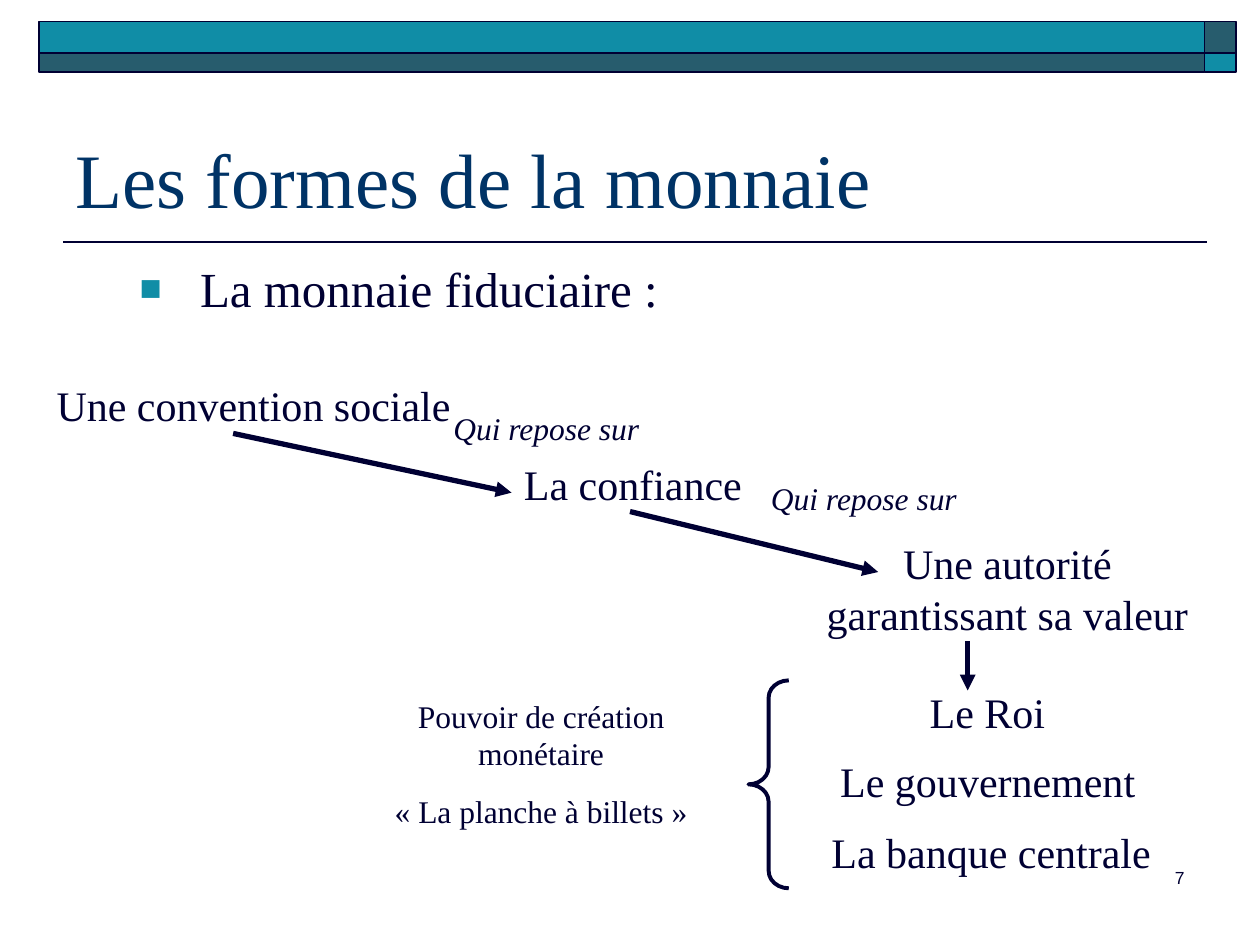
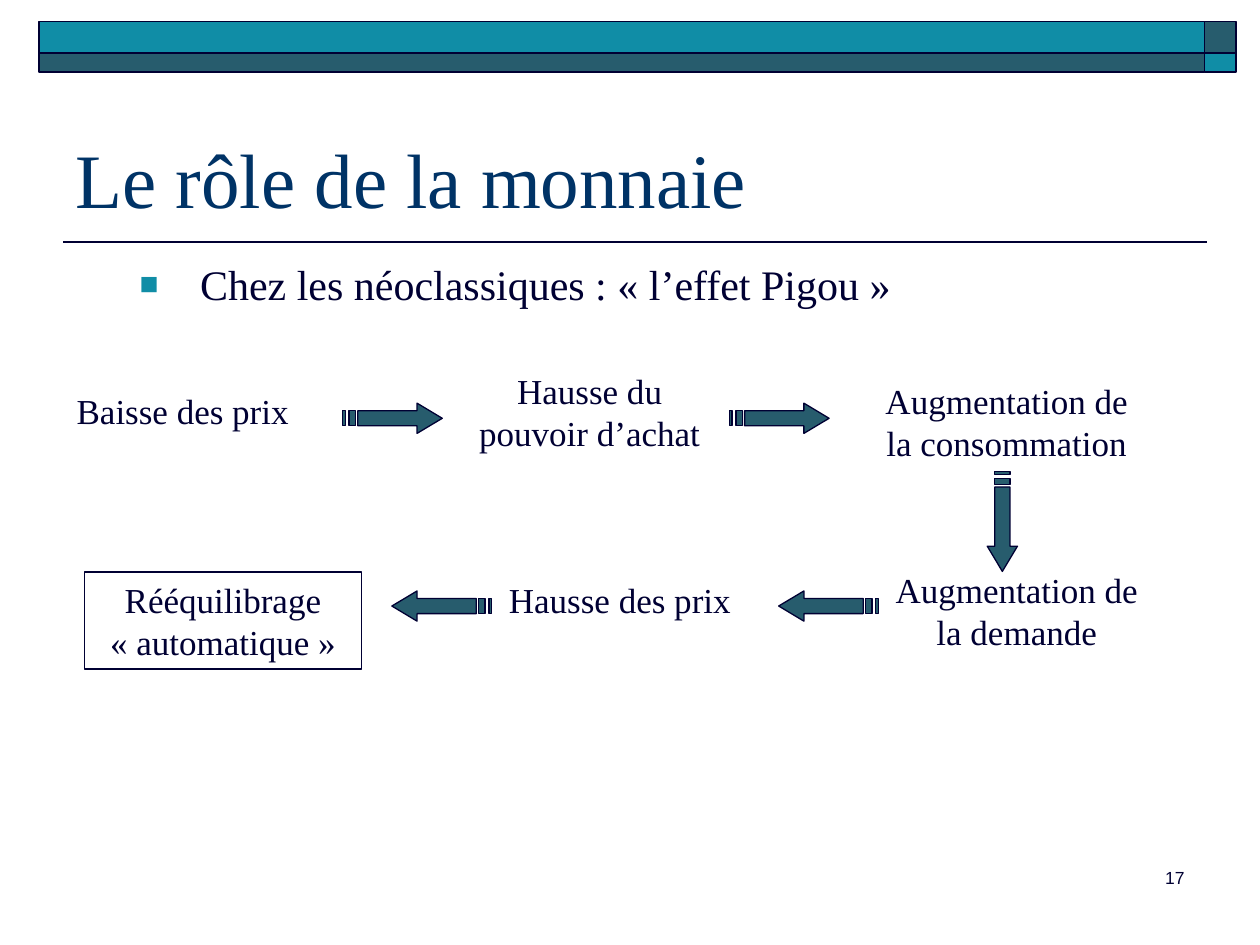
from dataclasses import dataclass

from lxml.etree import SubElement
from pptx import Presentation
from pptx.dml.color import RGBColor
from pptx.enum.shapes import MSO_CONNECTOR, MSO_SHAPE
from pptx.enum.text import MSO_ANCHOR, MSO_AUTO_SIZE, PP_ALIGN
from pptx.oxml.ns import qn
from pptx.util import Inches, Pt


@dataclass(frozen=True)
class Theme:
    ink: RGBColor = RGBColor(0x00, 0x00, 0x33)
    title: RGBColor = RGBColor(0x00, 0x33, 0x66)
    teal: RGBColor = RGBColor(0x10, 0x8D, 0xA6)
    slate: RGBColor = RGBColor(0x27, 0x5C, 0x6D)
    serif: str = "Times New Roman"
    sans: str = "Arial"
    title_size: int = 44
    topic_size: int = 28
    idea_size: int = 24
    step_size: int = 20
    note_size: int = 18
    number_size: int = 10
    paragraph_gap: float = 11.2


THEME = Theme()
NO_BREAK_SPACE = chr(160)


@dataclass(frozen=True)
class Label:
    left: float
    top: float
    width: float
    height: float
    paragraphs: tuple[str, ...]
    size: int
    align: PP_ALIGN = PP_ALIGN.CENTER
    italic: bool = False
    boxed: bool = False
    font: str = THEME.serif
    color: RGBColor = THEME.ink
    anchor: MSO_ANCHOR = MSO_ANCHOR.TOP
    grow: bool = True


@dataclass(frozen=True)
class Arrow:
    x1: float
    y1: float
    x2: float
    y2: float


@dataclass(frozen=True)
class StripedArrow:
    left: float
    top: float
    rotation: int = 0


@dataclass(frozen=True)
class Band:
    left: float
    top: float
    width: float
    height: float
    color: RGBColor


BANDS = (
    Band(9.56, 0.17, 0.25, 0.25, THEME.slate),
    Band(0.31, 0.17, 9.25, 0.25, THEME.teal),
    Band(0.31, 0.42, 9.25, 0.15, THEME.slate),
    Band(9.56, 0.42, 0.25, 0.15, THEME.teal),
)


def quoted(text: str) -> str:
    return NO_BREAK_SPACE.join(("«", text, "»"))


def idea(left: float, top: float, width: float, text: str) -> Label:
    return Label(left, top, width, 0.5, (text,), THEME.idea_size, PP_ALIGN.LEFT)


def link_note(left: float, top: float) -> Label:
    return Label(left, top, 2.44, 0.4, ("Qui repose sur",), THEME.note_size,
                 PP_ALIGN.LEFT, italic=True)


def step(left: float, top: float, text: str, height: float = 0.77,
         align: PP_ALIGN = PP_ALIGN.CENTER, boxed: bool = False) -> Label:
    return Label(left, top, 2.2, height, (text,), THEME.step_size, align, boxed=boxed)


MONEY_LABELS = (
    idea(0.35, 2.96, 3.45, "Une convention sociale"),
    idea(4.06, 3.59, 2.1, "La confiance"),
    Label(6.42, 4.22, 3.15, 0.9, ("Une autorité garantissant sa valeur",), THEME.idea_size),
    idea(7.28, 5.4, 1.25, "Le Roi"),
    idea(6.57, 5.95, 2.65, "Le gouvernement"),
    idea(6.5, 6.51, 2.85, "La banque centrale"),
    link_note(3.5, 3.2),
    link_note(6.02, 3.75),
    Label(2.8, 5.48, 2.99, 1.16,
          ("Pouvoir de création monétaire", quoted("La planche à billets")), THEME.note_size),
)
MONEY_ARROWS = (
    Arrow(1.85, 3.44, 4.06, 3.91),
    Arrow(5, 4.06, 6.97, 4.54),
    Arrow(7.68, 5.09, 7.68, 5.48),
)
PIGOU_STEPS = (
    step(0.51, 3.04, "Baisse des prix", 0.44, PP_ALIGN.LEFT),
    step(3.58, 2.88, "Hausse du pouvoir d’achat"),
    step(6.89, 2.96, "Augmentation de la consommation"),
    step(6.97, 4.46, "Augmentation de la demande"),
    step(3.82, 4.54, "Hausse des prix", 0.44),
    step(0.67, 4.54, f"Rééquilibrage {quoted('automatique')}", boxed=True),
)
PIGOU_ARROWS = (
    StripedArrow(2.72, 3.2),
    StripedArrow(5.79, 3.2),
    StripedArrow(7.56, 4.02, 90),
    StripedArrow(6.18, 4.69, 180),
    StripedArrow(3.11, 4.69, 180),
)


def set_outline(sp, width: float) -> None:
    sp.shadow.inherit = False
    sp.line.color.rgb = THEME.ink
    sp.line.width = Pt(width)


def draw_label(s, label: Label):
    box = [Inches(v) for v in (label.left, label.top, label.width, label.height)]
    if label.boxed:
        sp = s.shapes.add_shape(MSO_SHAPE.RECTANGLE, *box)
        sp.fill.background()
        set_outline(sp, 0.75)
    else:
        sp = s.shapes.add_textbox(*box)
    tf = sp.text_frame
    tf.word_wrap = True
    tf.auto_size = MSO_AUTO_SIZE.SHAPE_TO_FIT_TEXT if label.grow else MSO_AUTO_SIZE.NONE
    tf.vertical_anchor = label.anchor
    for i, text in enumerate(label.paragraphs):
        p = tf.add_paragraph() if i else tf.paragraphs[0]
        p.alignment = label.align
        if i:
            p.space_before = Pt(THEME.paragraph_gap)
        r = p.add_run()
        r.text = text
        r.font.name = label.font
        r.font.size = Pt(label.size)
        r.font.italic = label.italic
        r.font.color.rgb = label.color
    return sp


def draw_topic(s, text: str, size: int) -> None:
    sp = draw_label(s, Label(0.5, 2, 9, 0.57, (text,), size, PP_ALIGN.LEFT, grow=False))
    pPr = sp.text_frame.paragraphs[0]._p.get_or_add_pPr()
    pPr.set("marL", str(Inches(0.99)))
    pPr.set("indent", str(Inches(-0.48)))
    SubElement(SubElement(pPr, qn("a:buClr")), qn("a:srgbClr"), val=str(THEME.teal))
    SubElement(pPr, qn("a:buSzPct"), val="75000")
    SubElement(pPr, qn("a:buFont"), typeface=THEME.sans)
    SubElement(pPr, qn("a:buChar"), char="■")


def draw_line(s, line: Arrow, width: float, head: bool = False) -> None:
    ends = [Inches(v) for v in (line.x1, line.y1, line.x2, line.y2)]
    cn = s.shapes.add_connector(MSO_CONNECTOR.STRAIGHT, *ends)
    cn.line.color.rgb = THEME.ink
    cn.line.width = Pt(width)
    if head:
        SubElement(cn.line._get_or_add_ln(), qn("a:tailEnd"), type="triangle")
    SubElement(cn._element.spPr, qn("a:effectLst"))


def draw_striped_arrow(s, arrow: StripedArrow) -> None:
    fb = s.shapes.build_freeform(59, 0, scale=float(Inches(0.01)))
    fb.add_line_segments([(59, 6), (12, 6), (12, 18), (59, 18), (59, 24), (79, 12)])
    for x1, x2 in ((5, 10), (0, 2)):
        fb.move_to(x1, 6)
        fb.add_line_segments([(x1, 18), (x2, 18), (x2, 6)])
    sp = fb.convert_to_shape(Inches(arrow.left), Inches(arrow.top))
    sp.rotation = arrow.rotation
    sp.fill.solid()
    sp.fill.fore_color.rgb = THEME.slate
    set_outline(sp, 0.75)


def draw_brace(s) -> None:
    sp = s.shapes.add_shape(MSO_SHAPE.LEFT_BRACE, Inches(5.94), Inches(5.4),
                            Inches(0.32), Inches(1.65))
    sp.adjustments[0] = 0.43
    sp.fill.background()
    set_outline(sp, 2.25)


def add_base_slide(prs, title: str, number: int, topic: str, topic_size: int):
    s = prs.slides.add_slide(prs.slide_layouts[6])
    draw_line(s, Arrow(0.5, 1.92, 9.58, 1.92), 1)
    for band in BANDS:
        sp = s.shapes.add_shape(MSO_SHAPE.RECTANGLE, Inches(band.left), Inches(band.top),
                                Inches(band.width), Inches(band.height))
        sp.fill.solid()
        sp.fill.fore_color.rgb = band.color
        set_outline(sp, 1)
    draw_label(s, Label(7.42, 6.83, 2.08, 0.5, (str(number),), THEME.number_size,
                        PP_ALIGN.RIGHT, font=THEME.sans, grow=False))
    draw_label(s, Label(0.5, 0.58, 9, 1.25, (title,), THEME.title_size, PP_ALIGN.LEFT,
                        color=THEME.title, anchor=MSO_ANCHOR.BOTTOM, grow=False))
    draw_topic(s, topic, topic_size)
    return s


def main() -> None:
    prs = Presentation()
    prs.slide_width, prs.slide_height = Inches(10), Inches(7.5)

    s = add_base_slide(prs, "Les formes de la monnaie", 7,
                       "La monnaie fiduciaire :", THEME.topic_size)
    for label in MONEY_LABELS:
        draw_label(s, label)
    for arrow in MONEY_ARROWS:
        draw_line(s, arrow, 3, head=True)
    draw_brace(s)

    s = add_base_slide(prs, "Le rôle de la monnaie", 17,
                       f"Chez les néoclassiques : {quoted('l’effet Pigou')}", THEME.idea_size)
    for label in PIGOU_STEPS:
        draw_label(s, label)
    for arrow in PIGOU_ARROWS:
        draw_striped_arrow(s, arrow)

    prs.save("out.pptx")


if __name__ == "__main__":
    main()
